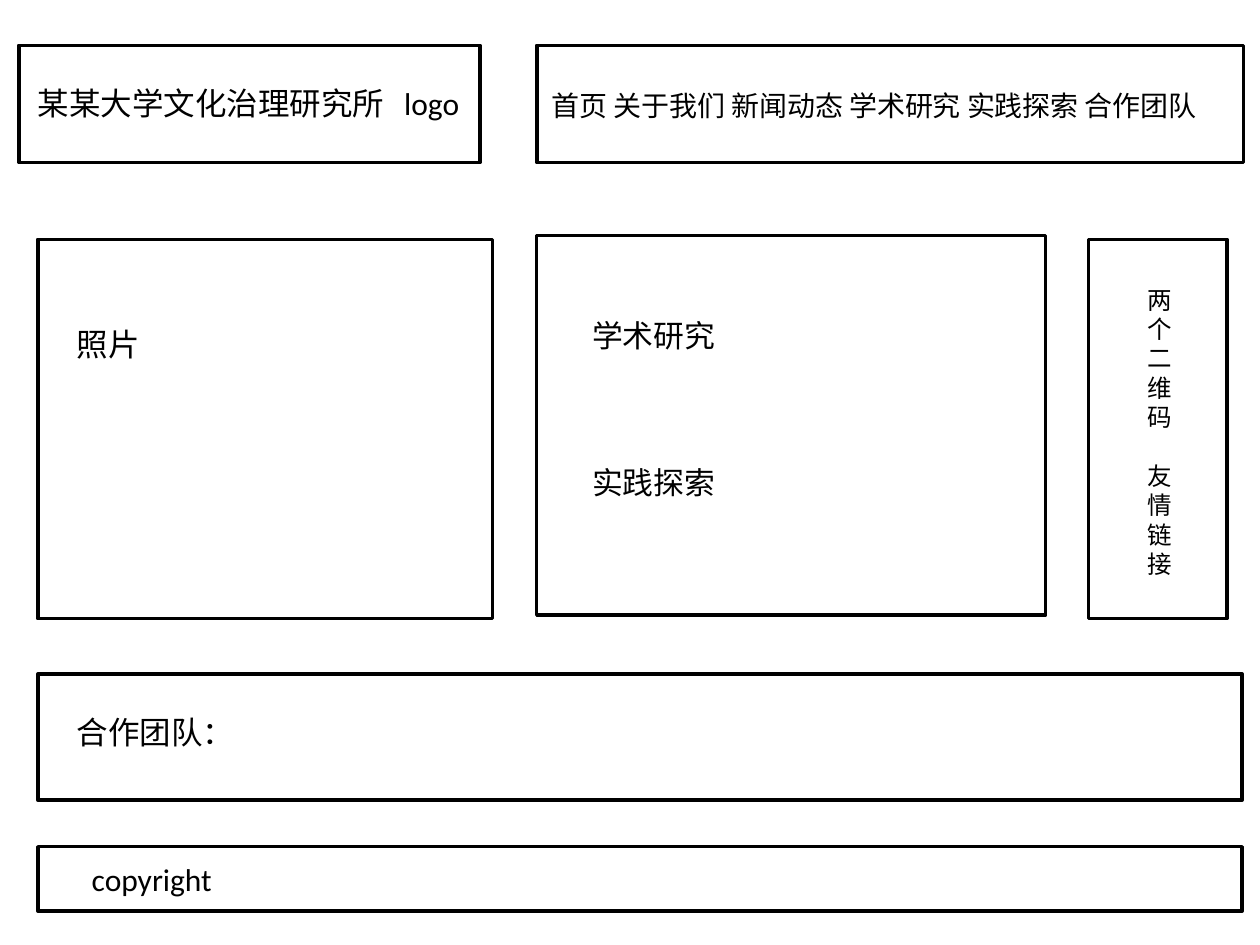
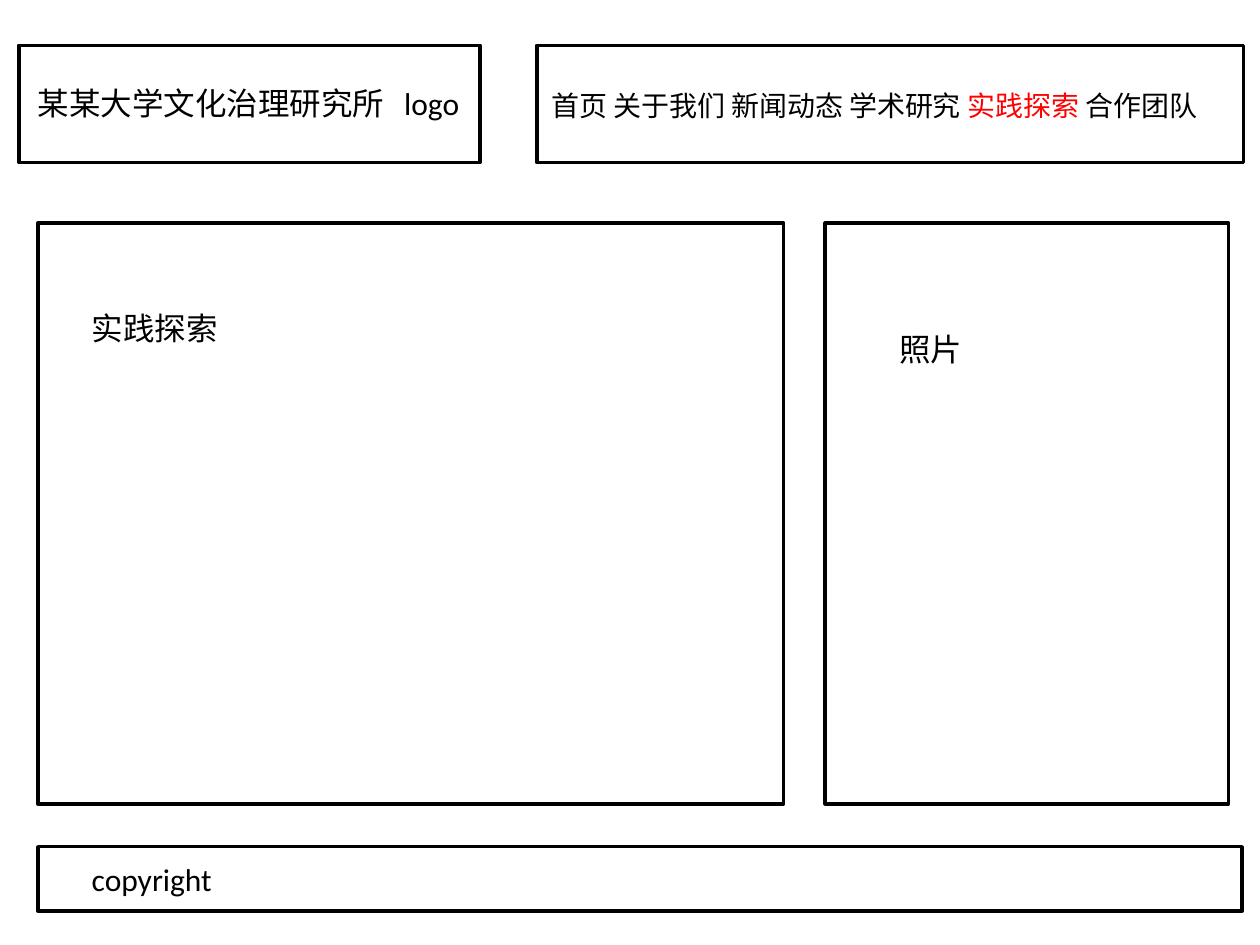
from dataclasses import dataclass

from pptx import Presentation
from pptx.dml.color import RGBColor
from pptx.enum.shapes import MSO_SHAPE
from pptx.enum.text import MSO_ANCHOR
from pptx.util import Inches, Pt

RECT = MSO_SHAPE.RECTANGLE
TOP, MIDDLE = MSO_ANCHOR.TOP, MSO_ANCHOR.MIDDLE


@dataclass(frozen=True)
class Theme:
    ink: RGBColor = RGBColor(0, 0, 0)
    paper: RGBColor = RGBColor(255, 255, 255)
    active: RGBColor = RGBColor(255, 0, 0)
    font: str = "Calibri"
    body: float = 18
    topic: float = 17.6
    menu: float = 16
    side: float = 14
    rule: float = 2


THEME = Theme()
MENU = ["首页", "关于我们", "新闻动态", "学术研究", "实践探索", "合作团队"]
LEFT, NAV = 0.3, 4.26  # left edges of the content and the menu
WIDE = 9.56


def add_box(slide, x, y, w, h):
    """Outlined wireframe panel."""
    box = slide.shapes.add_shape(RECT, Inches(x), Inches(y), Inches(w), Inches(h))
    box.shadow.inherit = False
    box.fill.solid()
    box.fill.fore_color.rgb = THEME.paper
    box.line.color.rgb = THEME.ink
    box.line.width = Pt(THEME.rule)


def add_text(slide, text, x, y, w, h=0.4, size=THEME.body, anchor=TOP, gap=0, mark=None):
    """Text, one paragraph a line; gap parts paragraphs, mark is a word in red."""
    frame = slide.shapes.add_textbox(Inches(x), Inches(y), Inches(w), Inches(h)).text_frame
    frame.word_wrap = True
    frame.vertical_anchor = anchor
    for i, line in enumerate(text.split("\n")):
        para = frame.paragraphs[0] if i == 0 else frame.add_paragraph()
        if i:
            para.space_before = Pt(gap)
        parts = line.partition(mark) if mark else [line]
        for part in filter(None, parts):
            run = para.add_run()
            run.text = part
            run.font.name = THEME.font
            run.font.size = Pt(size)
            run.font.color.rgb = THEME.active if part == mark else THEME.ink


def add_page(deck, mark=None):
    """Blank slide with the site header, menu and footer."""
    slide = deck.slides.add_slide(deck.slide_layouts[6])
    # Header
    add_box(slide, 0.15, 0.36, 3.66, 0.93)
    add_text(slide, "某某大学文化治理研究所", 0.2, 0.62, 3)
    add_text(slide, "logo", 3.11, 0.62, 0.7)
    # Menu
    add_box(slide, NAV, 0.36, 5.61, 0.93)
    add_text(slide, " ".join(MENU), 4.28, 0.65, 5.6, 0.37, size=THEME.menu, mark=mark)
    # Footer
    add_box(slide, LEFT, 6.72, WIDE, 0.51)
    add_text(slide, "copyright", 0.63, 6.78, 1.46)
    return slide


def build_home(deck):
    slide = add_page(deck)
    # Photo
    add_box(slide, LEFT, 1.9, 3.61, 3.01)
    add_text(slide, "照片", 0.51, 2.53, 3.2)
    # Topics
    add_box(slide, NAV, 1.87, 4.04, 3.01)
    add_text(slide, "学术研究\n实践探索", 4.6, 2.21, 2.41, 2.07,
             size=THEME.topic, anchor=MIDDLE, gap=63)
    # Side column, narrow enough for one character a line
    add_box(slide, 8.64, 1.9, 1.1, 3.01)
    add_text(slide, "两个二维码\n友情链接", 9.01, 2.21, 0.56, 2.46, size=THEME.side, gap=16.7)
    # Partners
    add_box(slide, LEFT, 5.35, WIDE, 1)
    add_text(slide, "合作团队：", 0.51, 5.61, 5.02)


def build_practice(deck):
    slide = add_page(deck, mark="实践探索")
    # Article
    add_box(slide, LEFT, 1.77, 5.92, 4.61)
    add_text(slide, "实践探索", 0.63, 2.4, 4.47)
    # Photo
    add_box(slide, 6.55, 1.77, 3.2, 4.61)
    add_text(slide, "照片", 7.04, 2.57, 2.12)


def main():
    deck = Presentation()
    deck.slide_width, deck.slide_height = Inches(10), Inches(7.5)
    build_home(deck)
    build_practice(deck)
    deck.save("out.pptx")


main()
